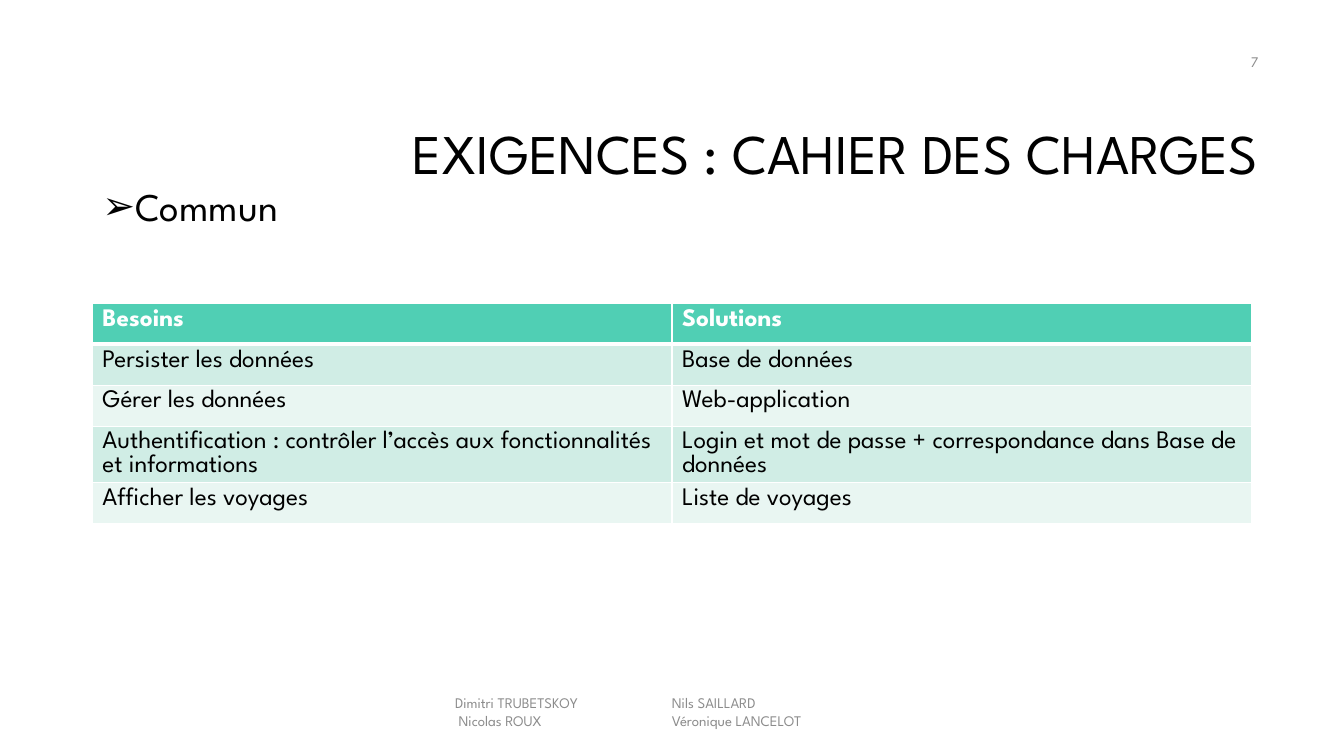
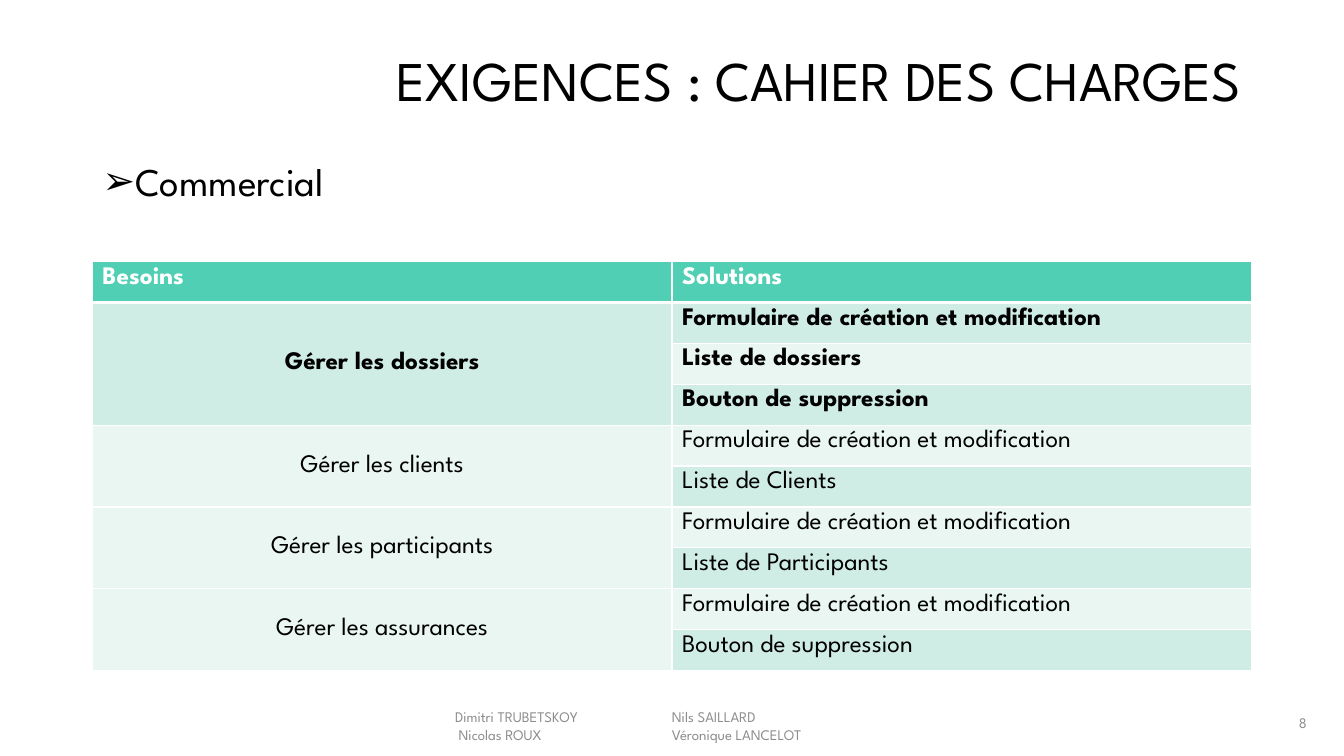
import pptx
import pptx.util
import pptx.dml.color
import pptx.enum.text
import pptx.oxml
import pptx.oxml.ns

FONT = "League Spartan"
BLACK, WHITE, GREY = "000000", "FFFFFF", "8C8C8C"
TEAL, BANDS = "50CFB4", ("E9F6F2", "D0EDE5")
ROW = 39
ALIGN = pptx.enum.text.PP_ALIGN
MIDDLE = pptx.enum.text.MSO_ANCHOR.MIDDLE
TITLE = "EXIGENCES : CAHIER DES CHARGES"
TEAM = "Dimitri TRUBETSKOY\n Nicolas ROUX\nNils SAILLARD\nVéronique LANCELOT"
FORM = "Formulaire de création et modification"


def px(n):
    return pptx.util.Emu(n * 9525)


def paint(hue):
    return pptx.dml.color.RGBColor.from_string(hue)


def tag(name, **attrs):
    node = pptx.oxml.parse_xml(f"<a:{name} {pptx.oxml.ns.nsdecls('a')}/>")
    for key, val in attrs.items():
        node.set(key, str(val))
    return node


def place(shape, box):
    shape.left, shape.top, shape.width, shape.height = map(px, box)


def style(frame, size, hue, align=ALIGN.LEFT, bold=False):
    for para in frame.paragraphs:
        para.alignment = align
        for run in para.runs:
            font = run.font
            font.name, font.size, font.bold = FONT, pptx.util.Pt(size), bold
            font.color.rgb = paint(hue)


def title(slide, box):
    shape = slide.shapes.title
    place(shape, box)
    frame = shape.text_frame
    frame.text = TITLE
    frame.vertical_anchor = MIDDLE
    frame.paragraphs[0].line_spacing = 0.9
    style(frame, 40, BLACK, ALIGN.RIGHT)


def topic(slide, box, text):
    shape = slide.placeholders[1]
    place(shape, box)
    frame = shape.text_frame
    frame.text = text
    frame.auto_size = pptx.enum.text.MSO_AUTO_SIZE.NONE
    para = frame.paragraphs[0]
    para.space_before = pptx.util.Pt(0)
    props = para._p.get_or_add_pPr()
    props.set("marL", str(px(30)))
    props.set("indent", str(px(-30)))
    props.append(tag("buChar", char="➢"))
    style(frame, 28, BLACK)


def note(slide, box, text, align=ALIGN.LEFT):
    frame = slide.shapes.add_textbox(*map(px, box)).text_frame
    frame.word_wrap = True
    frame.vertical_anchor = MIDDLE
    frame.text = text
    style(frame, 10.5, GREY, align)
    return frame


def team(slide, box):
    frame = note(slide, box, TEAM)
    frame.margin_top = frame.margin_bottom = px(12)
    body = frame._txBody.bodyPr
    body.set("numCol", "2")
    body.set("spcCol", "0")


def edge(cell, row):
    props = cell._tc.get_or_add_tcPr()
    for side in "LRTB":
        thick = (row, side) in ((0, "B"), (1, "T"))
        line = tag(f"ln{side}", w=pptx.util.Pt(3 if thick else 1))
        fill = tag("solidFill")
        fill.append(tag("srgbClr", val=WHITE))
        line.append(fill)
        props.append(line)


def fill(cell, row, text, bold=False, align=ALIGN.LEFT):
    edge(cell, row)
    cell.fill.solid()
    cell.fill.fore_color.rgb = paint(BANDS[row % 2] if row else TEAL)
    cell.text_frame.text = text
    style(cell.text_frame, 18, BLACK if row else WHITE, align, bold)


def grid(slide, box, groups):
    left, top, width = box
    count = 1 + sum(len(fixes) for _, fixes, _ in groups)
    table = slide.shapes.add_table(
        count, 2, *map(px, (left, top, width, count * ROW))).table
    row = 0
    for need, fixes, bold in [("Besoins", ["Solutions"], True)] + groups:
        span = len(fixes)
        for step, fix in enumerate(fixes):
            at = row + step
            fill(table.cell(at, 0), at, "" if step else need, bold,
                 ALIGN.CENTER if span > 1 else ALIGN.LEFT)
            fill(table.cell(at, 1), at, fix, bold)
        if span > 1:
            head = table.cell(row, 0)
            head.merge(table.cell(row + span - 1, 0))
            head.vertical_anchor = MIDDLE
        row += span


def build(deck, name, groups, page, spots):
    slide = deck.slides.add_slide(deck.slide_layouts[1])
    title(slide, spots["title"])
    grid(slide, (88, spots["grid"], 1104), groups)
    team(slide, (424, spots["team"], 432, 58))
    note(slide, (*spots["page"], 288, 38), page, ALIGN.RIGHT)
    topic(slide, (88, spots["topic"], 324, 55), name)


def main():
    deck = pptx.Presentation()
    deck.slide_width, deck.slide_height = px(1280), px(720)
    build(deck, "Commun", [
        ("Persister les données", ["Base de données"], False),
        ("Gérer les données", ["Web-application"], False),
        ("Authentification : contrôler l’accès aux fonctionnalités et informations",
         ["Login et mot de passe + correspondance dans Base de données"], False),
        ("Afficher les voyages", ["Liste de voyages"], False),
    ], "7", {"title": (304, 81, 904, 135), "grid": 289, "team": 649,
             "page": (920, 40), "topic": 169})
    build(deck, "Commercial", [
        ("Gérer les dossiers",
         [FORM, "Liste de dossiers", "Bouton de suppression"], True),
        ("Gérer les clients", [FORM, "Liste de Clients"], False),
        ("Gérer les participants", [FORM, "Liste de Participants"], False),
        ("Gérer les assurances", [FORM, "Bouton de suppression"], False),
    ], "8", {"title": (88, 32, 1104, 94), "grid": 249, "team": 662,
             "page": (966, 669), "topic": 145})
    deck.save("out.pptx")


if __name__ == "__main__":
    main()
